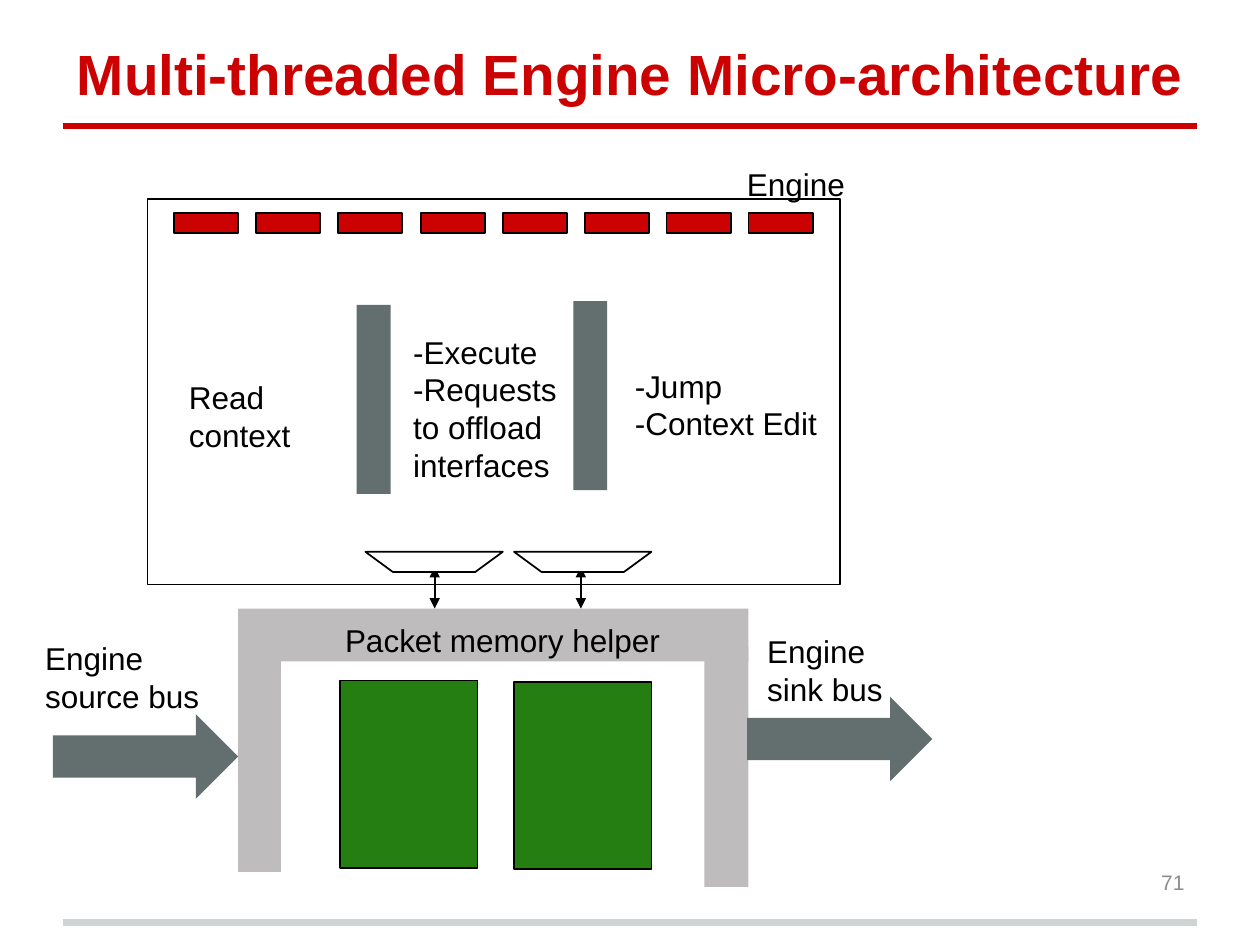
"""Build the slide on the multi-threaded engine micro-architecture."""
from lxml.etree import SubElement
from pptx import Presentation
from pptx.dml.color import RGBColor
from pptx.enum.shapes import MSO_CONNECTOR, MSO_SHAPE
from pptx.enum.text import MSO_ANCHOR, PP_ALIGN
from pptx.oxml.ns import qn
from pptx.util import Pt

PX = 9144
RED = RGBColor(0xCC, 0x02, 0x02)
BLACK = RGBColor(0, 0, 0)
WHITE = RGBColor(0xFF, 0xFF, 0xFF)
SLATE = RGBColor(0x63, 0x6F, 0x6F)
SILVER = RGBColor(0xBE, 0xBC, 0xBD)
GREEN = RGBColor(0x25, 0x7E, 0x12)
PALE = RGBColor(0xCF, 0xD4, 0xD4)
GRAY = RGBColor(0x8C, 0x8C, 0x8C)

deck = Presentation()
deck.slide_width, deck.slide_height = 1000 * PX, 750 * PX
page = deck.slides.add_slide(deck.slide_layouts[6])


def add_text(text, left, top, width, height, size=18, color=BLACK, bold=False,
             align=PP_ALIGN.LEFT, anchor=MSO_ANCHOR.TOP, inset=5, indent=0):
    box = page.shapes.add_textbox(left * PX, top * PX, width * PX, height * PX)
    frame = box.text_frame
    frame.word_wrap = True
    frame.vertical_anchor = anchor
    frame.margin_top = frame.margin_bottom = inset * PX
    frame.margin_left = (10 + indent) * PX
    frame.text = text
    for para in frame.paragraphs:
        para.alignment = align
        para.font.name = "Arial"
        para.font.size = Pt(size)
        para.font.bold = bold
        para.font.color.rgb = color


def add_block(kind, left, top, width, height, fill, outlined=False):
    block = page.shapes.add_shape(kind, left * PX, top * PX, width * PX, height * PX)
    block.shadow.inherit = False
    block.fill.solid()
    block.fill.fore_color.rgb = fill
    if outlined:
        block.line.color.rgb = BLACK
        block.line.width = Pt(1)
    else:
        block.line.fill.background()


add_block(MSO_SHAPE.RECTANGLE, 117, 158, 550, 306, WHITE, outlined=True)
for column in range(8):
    add_block(MSO_SHAPE.RECTANGLE, 138 + round(column * 65.2), 169, 51, 16, RED, outlined=True)

for start_x, start_y, end_x, end_y, color, weight, arrows in [
    (50, 732, 950, 732, PALE, 4, False),
    (50, 100, 950, 100, RED, 4, False),
    (345, 450, 345, 483, BLACK, 1, True),
    (461, 450, 461, 483, BLACK, 1, True),
]:
    line = page.shapes.add_connector(
        MSO_CONNECTOR.STRAIGHT, start_x * PX, start_y * PX, end_x * PX, end_y * PX)
    line.line.color.rgb = color
    line.line.width = Pt(weight)
    if arrows:
        outline = line.line._get_or_add_ln()
        for end in ("a:headEnd", "a:tailEnd"):
            SubElement(outline, qn(end), type="triangle")
    SubElement(line._element.spPr, qn("a:effectLst"))

for left, top in [(283, 242), (455, 239)]:
    add_block(MSO_SHAPE.RECTANGLE, left, top, 27, 150, SLATE)

for left, top, width, height in [(189, 509, 34, 183), (189, 483, 405, 42), (559, 513, 35, 191)]:
    add_block(MSO_SHAPE.RECTANGLE, left, top, width, height, SILVER)

for left, memory_top in [(270, 540), (408, 541)]:
    add_block(MSO_SHAPE.RECTANGLE, left, memory_top, 109, 149, GREEN, outlined=True)

for left in (290, 408):
    add_block(MSO_SHAPE.FLOWCHART_MANUAL_OPERATION, left, 438, 109, 16, WHITE, outlined=True)

for left, top in [(42, 567), (593, 553)]:
    add_block(MSO_SHAPE.RIGHT_ARROW, left, top, 147, 67, SLATE)

add_text("Multi-threaded Engine Micro-architecture", 26, 3, 950, 92, size=32.4, color=RED,
         bold=True, anchor=MSO_ANCHOR.BOTTOM, inset=10, indent=25)
for text, left, top, width, height in [
    ("Engine", 583, 126, 125, 40),
    ("Read context", 140, 295, 141, 71),
    ("-Execute\n-Requests to offload interfaces", 318, 259, 138, 131),
    ("-Jump\n-Context Edit", 494, 286, 173, 71),
    ("Packet memory helper", 264, 488, 286, 40),
    ("Engine source bus", 26, 502, 152, 71),
    ("Engine sink bus", 599, 497, 117, 71),
]:
    add_text(text, left, top, width, height)
add_text("71", 833, 682, 117, 36, size=12, color=GRAY,
         align=PP_ALIGN.RIGHT, anchor=MSO_ANCHOR.MIDDLE)

deck.save("out.pptx")
